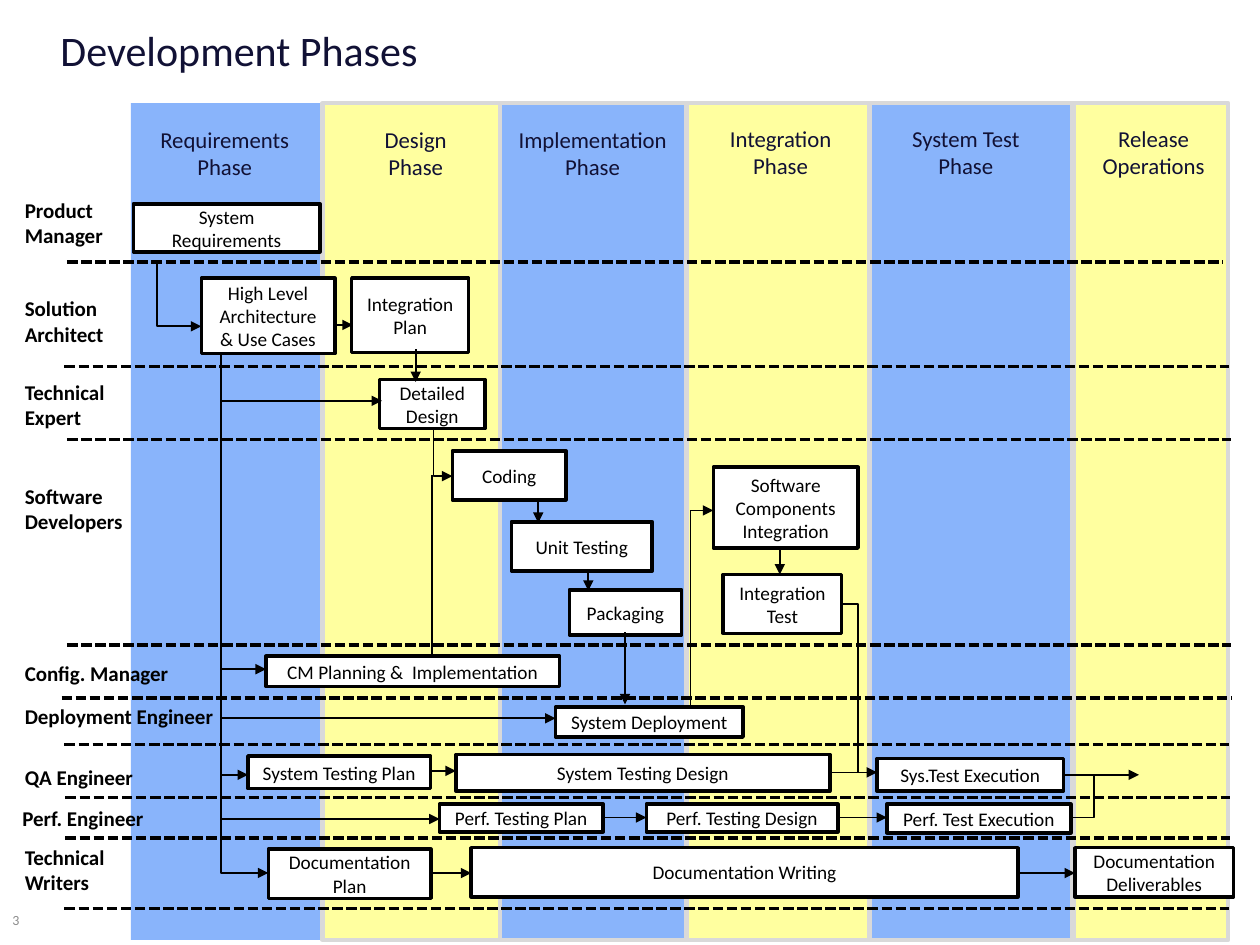
from pptx import Presentation
from pptx.dml.color import RGBColor
from pptx.enum.dml import MSO_LINE
from pptx.enum.shapes import MSO_CONNECTOR as Link, MSO_SHAPE as Shape
from pptx.enum.text import MSO_ANCHOR as Anchor, PP_ALIGN as Align
from pptx.oxml.ns import qn
from pptx.util import Cm, Pt
from lxml.etree import SubElement

BLACK, WHITE, NAVY, GREY = "000000", "FFFFFF", "111135", "8C8C8C"
BLUE, YELLOW, BORDER = "89B4FB", "FFFF9F", "D9D9D9"

# Positions are in inches: left, width, fill and border of the band,
# then left, width, top and lines of its heading
PHASES = [
    (1.04, 1.5, BLUE, None, 1.06, 1.45, 0.95, "Requirements\nPhase"),
    (2.56, 1.46, YELLOW, BORDER, 2.76, 1.08, 0.95, "Design\nPhase"),
    (3.97, 1.48, BLUE, BORDER, 3.88, 1.64, 0.95, "Implementation\nPhase"),
    (5.45, 1.46, YELLOW, BORDER, 5.48, 1.43, 0.94, "Integration\nPhase"),
    (6.9, 1.61, BLUE, BORDER, 6.94, 1.45, 0.94, "System Test\nPhase"),
    (8.52, 1.23, YELLOW, BORDER, 8.53, 1.25, 0.94, "Release\nOperations"),
]

# left, top, width, height, role
ROLES = [
    (0.1, 1.59, 0.92, 0.36, "Product Manager"),
    (0.1, 2.37, 0.92, 0.36, "Solution\nArchitect"),
    (0.1, 3.03, 0.92, 0.36, "Technical Expert"),
    (0.1, 3.82, 1.13, 0.44, "Software Developers"),
    (0.1, 5.2, 1.36, 0.29, "Config. Manager"),
    (0.1, 5.59, 1.76, 0.19, "Deployment Engineer"),
    (0.1, 5.95, 1.1, 0.44, "QA Engineer"),
    (0.08, 6.38, 1.19, 0.23, "Perf. Engineer"),
    (0.1, 6.68, 1.1, 0.44, "Technical Writers"),
]

# left, right, height on the slide of the line below each role
LANE_LINES = [
    (0.53, 9.71, 2.08), (0.51, 9.75, 2.91), (0.53, 9.77, 3.49),
    (0.53, 9.77, 5.12), (0.49, 9.78, 5.54), (0.51, 9.75, 5.91),
    (0.52, 9.76, 6.33), (0.52, 9.76, 6.65), (0.51, 9.75, 7.21),
]

# left, top, width, height, task
TASKS = [
    (1.06, 1.62, 1.48, 0.38, "System Requirements"),
    (1.6, 2.21, 1.06, 0.6, "High Level Architecture & Use Cases"),
    (2.79, 2.21, 0.93, 0.59, "Integration Plan"),
    (3.01, 3.01, 0.84, 0.39, "Detailed Design"),
    (3.59, 3.58, 0.9, 0.39, "Coding"),
    (4.06, 4.14, 1.12, 0.39, "Unit Testing"),
    (4.52, 4.68, 0.89, 0.36, "Packaging"),
    (5.66, 3.71, 1.15, 0.64, "Software Components Integration"),
    (5.74, 4.56, 0.94, 0.47, "Integration\nTest"),
    (2.11, 5.21, 2.33, 0.24, "CM Planning &  Implementation"),
    (4.41, 5.61, 1.49, 0.24, "System Deployment"),
    (1.97, 6, 1.45, 0.26, "System Testing Plan"),
    (3.62, 5.99, 2.97, 0.29, "System Testing Design"),
    (6.96, 6.02, 1.48, 0.26, "Sys.Test Execution"),
    (3.49, 6.38, 1.3, 0.22, "Perf. Testing Plan"),
    (5.13, 6.38, 1.52, 0.22, "Perf. Testing Design"),
    (7.04, 6.38, 1.46, 0.23, "Perf. Test Execution"),
    (2.13, 6.74, 1.29, 0.39, "Documentation Plan"),
    (3.74, 6.73, 4.34, 0.39, "Documentation Writing"),
    (8.53, 6.73, 1.26, 0.39, "Documentation Deliverables"),
]

# y, then from x to x
ACROSS = [
    (2.58, 2.65, 2.8), (3.18, 1.75, 3.03), (5.31, 1.75, 2.11),
    (5.7, 1.75, 4.41), (6.15, 1.75, 1.97), (6.12, 3.43, 3.62),
    (6.13, 6.6, 6.96), (6.15, 8.44, 9.04), (6.5, 1.75, 3.49),
    (6.49, 4.79, 5.13), (6.49, 6.65, 7.04), (6.93, 3.41, 3.74),
    (6.93, 8.08, 8.53),
]

# x, then from y to y
DOWN = [
    (3.3, 2.77, 3.03), (4.27, 3.98, 4.15), (4.67, 4.52, 4.69),
    (4.96, 5.02, 5.59), (6.19, 4.36, 4.56),
]

# Start of the level part, end of the upright part, arrowhead at the start
ELBOWS = [
    (1.6, 2.59, 1.25, 2.08, True),
    (2.13, 6.93, 1.75, 2.8, True),
    (3.59, 3.78, 3.44, 3.4, True),
    (5.66, 4.05, 5.48, 5.6, True),
    (6.68, 4.79, 6.81, 6.13, False),
    (8.49, 6.49, 8.68, 6.16, False),
]


def lengths(*inches):
    return [Cm(round(value * 2.54, 2)) for value in inches]


def color(hex_string):
    return RGBColor.from_string(hex_string)


def write(shape, text, size, hex_color, align=Align.LEFT, anchor=Anchor.MIDDLE,
          bold=False):
    """Fill the shape with one paragraph for each line of text."""
    frame = shape.text_frame
    frame.word_wrap = True
    frame.vertical_anchor = anchor
    for number, line in enumerate(text.split("\n")):
        paragraph = frame.add_paragraph() if number else frame.paragraphs[0]
        paragraph.alignment = align
        run = paragraph.add_run()
        run.text = line
        run.font.name = "Calibri"
        run.font.size = Pt(size)
        run.font.bold = bold
        run.font.color.rgb = color(hex_color)


def add_label(slide, box, text, size, hex_color, **layout):
    write(slide.shapes.add_textbox(*lengths(*box)), text, size, hex_color, **layout)


def add_box(slide, box, fill, border, width):
    shape = slide.shapes.add_shape(Shape.RECTANGLE, *lengths(*box))
    shape.shadow.inherit = False
    shape.fill.solid()
    shape.fill.fore_color.rgb = color(fill)
    if border:
        shape.line.color.rgb = color(border)
        shape.line.width = Pt(width)
    else:
        shape.line.fill.background()
    return shape


def add_link(slide, ends, width=1, head=None, dash=None, bent=False):
    """Connect two points; head is the end that has the arrowhead, if any."""
    kind = Link.ELBOW if bent else Link.STRAIGHT
    link = slide.shapes.add_connector(kind, *lengths(*ends))
    link.line.color.rgb = color(BLACK)
    link.line.width = Pt(width)
    if dash:
        link.line.dash_style = dash
    properties = link._element.spPr
    if bent:
        properties.find(qn("a:prstGeom")).set("prst", "bentConnector2")
    if head:
        SubElement(properties.find(qn("a:ln")), qn(f"a:{head}"), type="triangle")
    SubElement(properties, qn("a:effectLst"))


def main():
    deck = Presentation()
    deck.slide_width, deck.slide_height = lengths(10, 7.5)
    slide = deck.slides.add_slide(deck.slide_layouts[6])

    add_label(slide, (0, 7.1, 0.38, 0.4), "3", 8, GREY)
    add_label(slide, (0.38, 0.14, 9.36, 0.66), "Development Phases", 24, NAVY,
              anchor=Anchor.TOP)
    for left, width, fill, border, *heading in PHASES:
        add_box(slide, (left, 0.82, width, 6.64), fill, border, 2.5)
        text_left, text_width, top, name = heading
        add_label(slide, (text_left, top, text_width, 0.54), name, 13, NAVY,
                  align=Align.CENTER, anchor=Anchor.TOP)
    for left, right, y in LANE_LINES:
        add_link(slide, (left, y, right, y), 2, dash=MSO_LINE.SQUARE_DOT)
    for *box, role in ROLES:
        add_label(slide, box, role, 12, BLACK, bold=True)
    for *box, task in TASKS:
        write(add_box(slide, box, WHITE, BLACK, 2), task, 11, BLACK,
              align=Align.CENTER)

    for y, start, end in ACROSS:
        add_link(slide, (start, y, end, y), head="tailEnd")
    for x, start, end in DOWN:
        add_link(slide, (x, start, x, end), head="tailEnd")
    for *ends, has_head in ELBOWS:
        add_link(slide, ends, head="headEnd" if has_head else None, bent=True)
    add_link(slide, (3.43, 5.21, 3.43, 3.77))
    deck.save("out.pptx")


if __name__ == "__main__":
    main()
